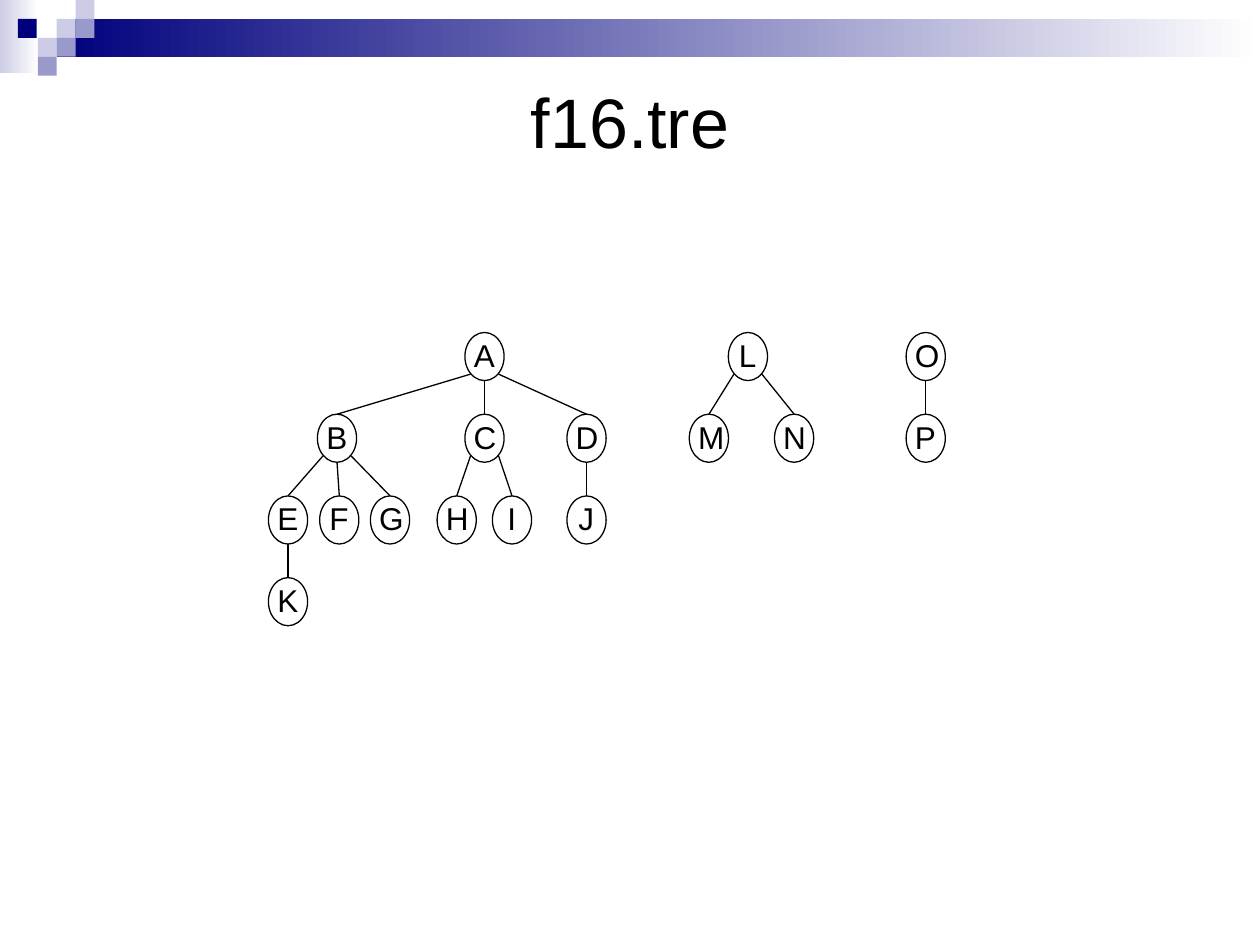
from dataclasses import dataclass

from lxml import etree
from pptx import Presentation
from pptx.dml.color import RGBColor
from pptx.enum.shapes import MSO_CONNECTOR, MSO_SHAPE
from pptx.enum.text import MSO_ANCHOR, PP_ALIGN
from pptx.oxml.ns import qn
from pptx.slide import Slide
from pptx.util import Pt

RECTANGLE = MSO_SHAPE.RECTANGLE
ELLIPSE = MSO_SHAPE.OVAL
STRAIGHT = MSO_CONNECTOR.STRAIGHT
CENTER = PP_ALIGN.CENTER
TOP = MSO_ANCHOR.TOP
MIDDLE = MSO_ANCHOR.MIDDLE

BLACK = RGBColor(0x00, 0x00, 0x00)
WHITE = RGBColor(0xFF, 0xFF, 0xFF)
NAVY = RGBColor(0x00, 0x00, 0x7D)
LAVENDER = RGBColor(0xCC, 0xCC, 0xE6)
PERIWINKLE = RGBColor(0x99, 0x99, 0xCC)

SQUARE = 10.8
HEADER_SQUARES = [
    (32.4, 10.8, LAVENDER),
    (43.2, 0, LAVENDER),
    (43.2, 10.8, PERIWINKLE),
    (21.6, 21.6, LAVENDER),
    (10.2, 10.8, NAVY),
    (32.4, 21.6, PERIWINKLE),
    (21.6, 32.4, PERIWINKLE),
]

NODE_WIDTH, NODE_HEIGHT = 22.4, 27.5
FIRST_LEVEL, LEVEL_STEP = 190, 46.7
# The left edge of each node, level by level
LEVELS = [
    {"A": 265.7, "L": 416.2, "O": 517.8},
    {"B": 181.4, "C": 265.7, "D": 324, "M": 393.9, "N": 442.6, "P": 517.8},
    {"E": 153.4, "F": 182.7, "G": 211.7, "H": 249.8, "I": 281.4, "J": 324},
    {"K": 153.4},
]
CHILDREN = {"A": "BCD", "B": "EFG", "C": "HI", "D": "J",
            "E": "K", "L": "MN", "O": "P"}


@dataclass
class SlideBuilder:
    slide: Slide
    font_name: str = "Arial"
    title_size: float = 40
    label_size: float = 18
    line_width: float = 0.75

    def text(self, frame, text, size, anchor):
        frame.vertical_anchor = anchor
        paragraph = frame.paragraphs[0]
        paragraph.text = text
        paragraph.alignment = CENTER
        paragraph.font.name = self.font_name
        paragraph.font.size = Pt(size)
        paragraph.font.color.rgb = BLACK

    def title(self, text, left, top, width, height):
        title = self.slide.shapes.title
        title.left, title.top = Pt(left), Pt(top)
        title.width, title.height = Pt(width), Pt(height)
        self.text(title.text_frame, text, self.title_size, MIDDLE)

    def shape(self, kind, left, top, width, height):
        shape = self.slide.shapes.add_shape(
            kind, Pt(left), Pt(top), Pt(width), Pt(height))
        shape.shadow.inherit = False
        return shape

    def square(self, left, top, color):
        square = self.shape(RECTANGLE, left, top, SQUARE, SQUARE)
        square.fill.solid()
        square.fill.fore_color.rgb = color
        square.line.fill.background()

    def fading_bar(self, left, top, width, height, color):
        bar = self.shape(RECTANGLE, left, top, width, height)
        bar.fill.gradient()
        bar.fill.gradient_angle = 0
        for stop, stop_color in zip(bar.fill.gradient_stops, (color, WHITE)):
            stop.color.rgb = stop_color
        bar.line.fill.background()

    def node(self, name, left, top):
        ellipse = self.shape(ELLIPSE, left, top, NODE_WIDTH, NODE_HEIGHT)
        ellipse.fill.background()
        ellipse.line.color.rgb = BLACK
        ellipse.line.width = Pt(self.line_width)
        label = self.slide.shapes.add_textbox(
            Pt(left + 5), Pt(top + 1.9), Pt(12.2), Pt(22.3))
        frame = label.text_frame
        frame.word_wrap = False
        frame.margin_left = frame.margin_right = 0
        frame.margin_top = frame.margin_bottom = 0
        self.text(frame, name, self.label_size, TOP)

    def edge(self, parent, child):
        """Join a parent's lower side to the top of its child."""
        (parent_left, parent_top), (child_left, child_top) = parent, child
        start_x, start_y = parent_left + NODE_WIDTH / 2, parent_top + NODE_HEIGHT
        offset = child_left - parent_left
        if abs(offset) > 5:
            start_x += 8 if offset > 0 else -8
            start_y -= 3.7
        line = self.slide.shapes.add_connector(
            STRAIGHT, Pt(start_x), Pt(start_y),
            Pt(child_left + NODE_WIDTH / 2), Pt(child_top))
        line.line.color.rgb = BLACK
        line.line.width = Pt(self.line_width)
        etree.SubElement(line._element.spPr, qn("a:effectLst"))


def main():
    presentation = Presentation()
    presentation.slide_width, presentation.slide_height = Pt(720), Pt(540)
    title_only = presentation.slide_layouts[5]
    builder = SlideBuilder(presentation.slides.add_slide(title_only))

    builder.fading_bar(0, 0, 22, 41.8, LAVENDER)
    builder.fading_bar(32.4, 10.8, 687.6, 21.6, NAVY)
    for left, top, color in HEADER_SQUARES:
        builder.square(left, top, color)
    builder.title("f16.tre", 36, 36, 648, 66)

    positions = {
        name: (left, FIRST_LEVEL + level * LEVEL_STEP)
        for level, nodes in enumerate(LEVELS)
        for name, left in nodes.items()
    }
    for name, (left, top) in positions.items():
        builder.node(name, left, top)
    for parent, children in CHILDREN.items():
        for child in children:
            builder.edge(positions[parent], positions[child])

    presentation.save("out.pptx")


if __name__ == "__main__":
    main()
